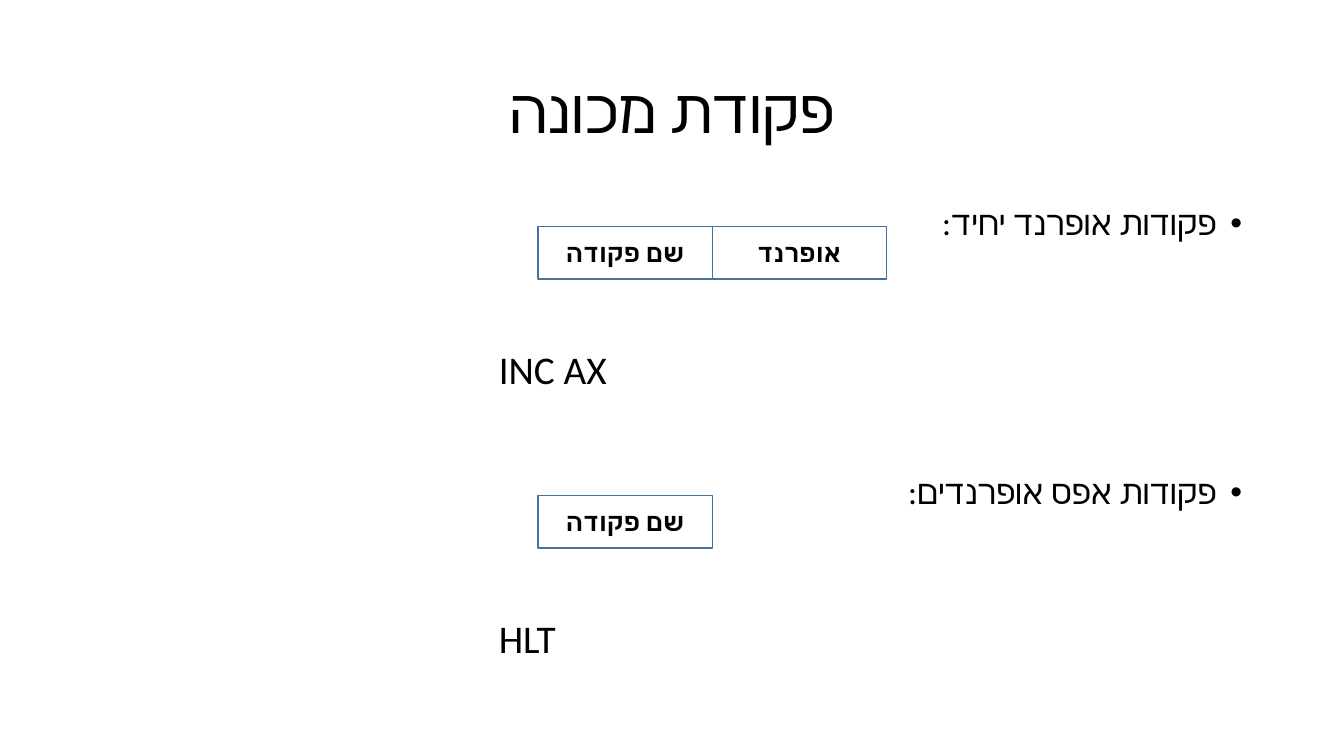
import dataclasses

import lxml.etree
import pptx
import pptx.dml.color
import pptx.enum.shapes
import pptx.enum.text
import pptx.oxml.ns
import pptx.util

Cm = pptx.util.Cm
Pt = pptx.util.Pt
RGBColor = pptx.dml.color.RGBColor
Align = pptx.enum.text.PP_ALIGN
Anchor = pptx.enum.text.MSO_ANCHOR

BLACK = RGBColor(0x00, 0x00, 0x00)
BLUE = RGBColor(0x43, 0x73, 0x9E)
FONT = "Calibri"
STEP = 6.78
CELL = 4.39


@dataclasses.dataclass(frozen=True)
class Box:
    left: float
    top: float
    width: float
    height: float


@dataclasses.dataclass(frozen=True)
class Style:
    size: int
    align: Align
    rtl: bool = True
    bold: bool = False
    middle: bool = False
    tight: bool = True
    before: int = 0
    bullet: bool = False


@dataclasses.dataclass(frozen=True)
class Order:
    head: str
    cells: tuple[str, ...]
    code: str


TITLE = Style(44, Align.CENTER, middle=True)
HEAD = Style(24, Align.RIGHT, before=10, bullet=True)
LABEL = Style(18, Align.CENTER, bold=True, middle=True, tight=False)
CODE = Style(28, Align.LEFT, rtl=False, before=10)

ORDERS = (
    Order("פקודות אופרנד יחיד: ", ("שם פקודה", "אופרנד"), "INC AX"),
    Order("פקודות אפס אופרנדים: ", ("שם פקודה",), "HLT"),
)


def add_tag(parent, name: str, **attrs: str) -> None:
    lxml.etree.SubElement(parent, pptx.oxml.ns.qn(name), **attrs)


def write(shape, text: str, style: Style) -> None:
    frame = shape.text_frame
    frame.text = text
    frame.word_wrap = True
    frame.vertical_anchor = Anchor.MIDDLE if style.middle else Anchor.TOP
    para = frame.paragraphs[0]
    para.alignment = style.align
    para.space_before = Pt(style.before)
    para.line_spacing = 0.9 if style.tight else 1.0
    props = para._p.get_or_add_pPr()
    if style.rtl:
        props.set("rtl", "1")
    if style.bullet:
        indent = Cm(0.64)
        props.set("marL", str(indent))
        props.set("indent", str(-indent))
        add_tag(props, "a:buFont", typeface="Arial")
        add_tag(props, "a:buChar", char="•")
    for run in para.runs:
        run.font.size = Pt(style.size)
        run.font.bold = style.bold
        run.font.color.rgb = BLACK
        run.font.name = FONT
        add_tag(run._r.get_or_add_rPr(), "a:cs", typeface=FONT)


def place(box: Box) -> tuple[int, ...]:
    return tuple(Cm(side) for side in dataclasses.astuple(box))


def add_text(slide, box: Box, text: str, style: Style) -> None:
    write(slide.shapes.add_textbox(*place(box)), text, style)


def add_cell(slide, box: Box, text: str) -> None:
    kind = pptx.enum.shapes.MSO_SHAPE.RECTANGLE
    cell = slide.shapes.add_shape(kind, *place(box))
    cell.shadow.inherit = False
    cell.fill.background()
    cell.line.color.rgb = BLUE
    cell.line.width = Pt(1)
    write(cell, text, LABEL)


def add_order(slide, order: Order, shift: float) -> None:
    add_text(slide, Box(2.34, 5.08 + shift, 29.21, 1.88), order.head, HEAD)
    for spot, label in enumerate(order.cells):
        add_cell(slide, Box(13.56 + spot * CELL, 5.71 + shift, CELL, 1.32), label)
    add_text(slide, Box(12.32, 8.71 + shift, 7.85, 1.65), order.code, CODE)


def main() -> None:
    deck = pptx.Presentation()
    deck.slide_width = Cm(33.87)
    deck.slide_height = Cm(19.05)
    slide = deck.slides.add_slide(deck.slide_layouts[6])
    add_text(slide, Box(2.34, 1.02, 29.21, 3.68), "פקודת מכונה", TITLE)
    for rank, order in enumerate(ORDERS):
        add_order(slide, order, rank * STEP)
    deck.save("out.pptx")


main()
